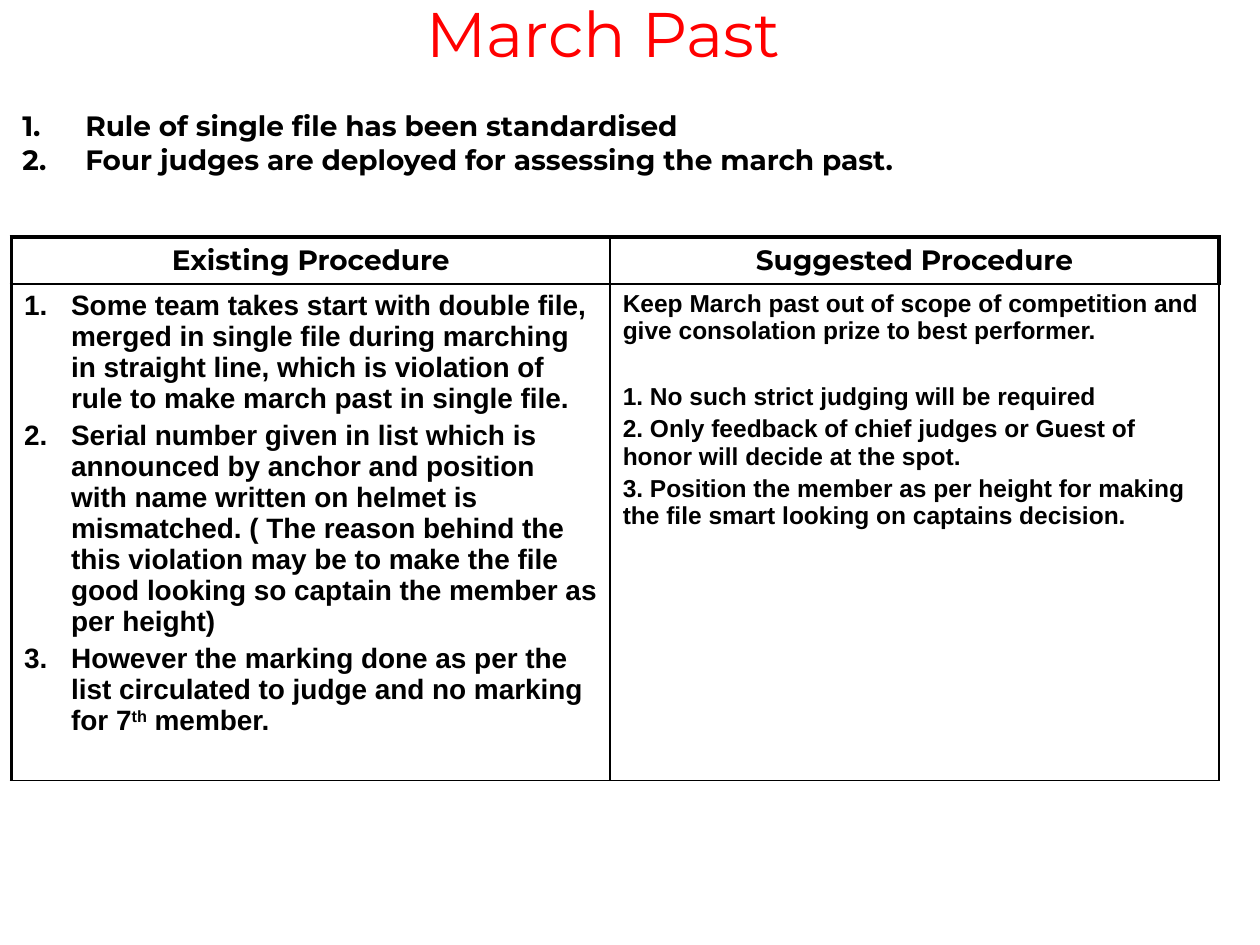
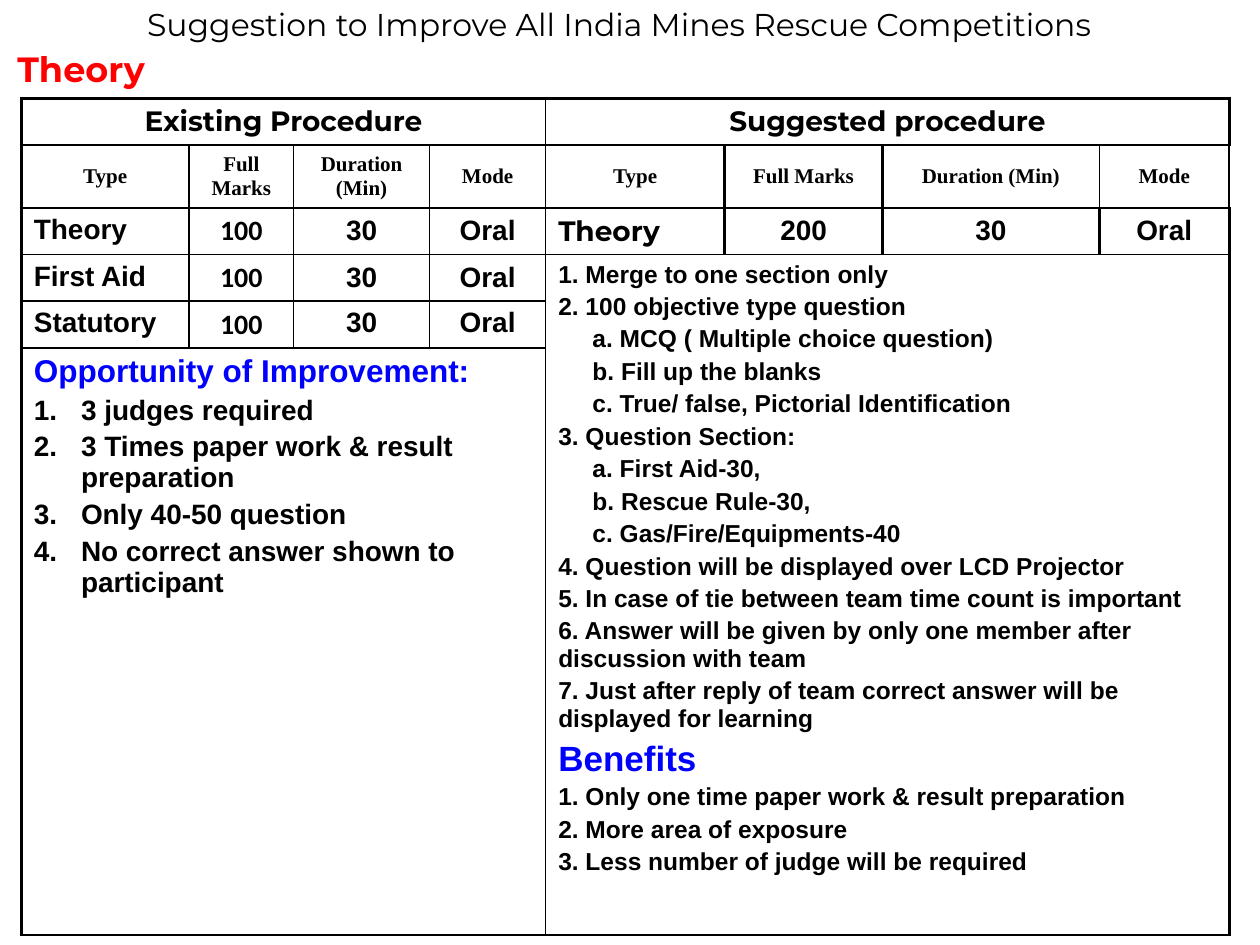
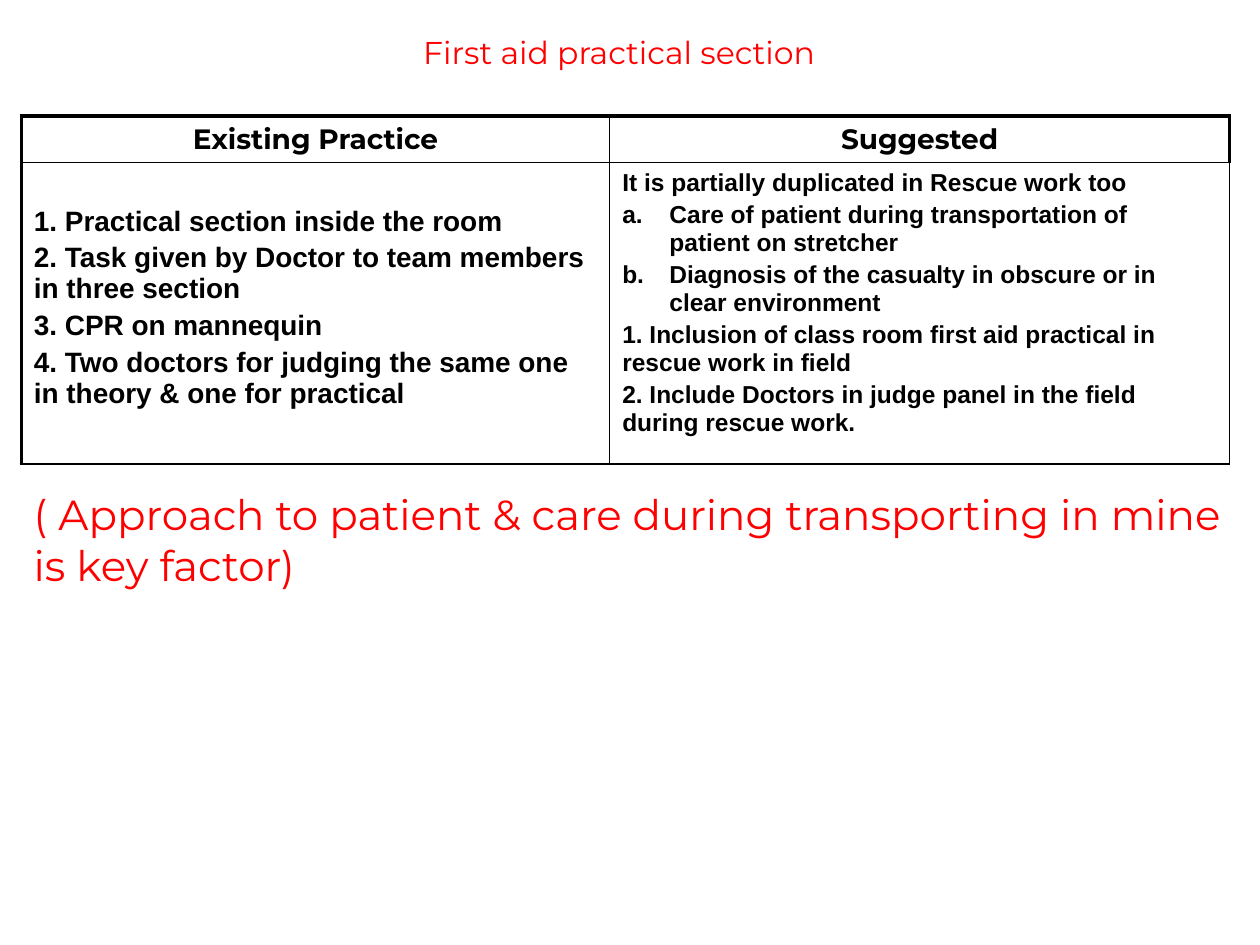
from lxml.etree import SubElement
from pptx import Presentation
from pptx.dml.color import RGBColor
from pptx.enum.text import MSO_ANCHOR, PP_ALIGN
from pptx.oxml.ns import qn
from pptx.util import Cm, Pt

BLACK = RGBColor(0, 0, 0)
RED = RGBColor(255, 0, 0)
BLUE = RGBColor(0, 0, 255)
BRAND, PLAIN, SERIF, DIGIT = "Montserrat", "Arial", "Times New Roman", "Calibri"
LEFT, MID = PP_ALIGN.LEFT, PP_ALIGN.CENTER
TOP, HALF = MSO_ANCHOR.TOP, MSO_ANCHOR.MIDDLE
THIN, THICK = Pt(1), Pt(2.25)
LISTS = {"num": "arabicPeriod", "let": "alphaLcPeriod"}


def write(frame, lines, face, size, align=LEFT, tint=BLACK, bold=True, lead=0.2, hang=0.95):
    for i, line in enumerate(lines):
        text, mark = line if isinstance(line, tuple) else (line, None)
        para = frame.paragraphs[0] if i == 0 else frame.add_paragraph()
        para.alignment = align
        head = isinstance(mark, int)
        points = mark if head else size
        if i:
            para.space_before = Pt(21.5 if mark == "gap" else lead * points)
        props = para._p.get_or_add_pPr()
        if mark == "in":
            props.set("marL", str(Cm(0.69)))
        if mark in LISTS:
            props.set("marL", str(Cm(hang)))
            props.set("indent", str(-Cm(hang)))
            SubElement(props, qn("a:buAutoNum"), type=LISTS[mark])
        for k, part in enumerate(text.split("^")):
            run = para.add_run()
            run.text = part
            run.font.name = face
            run.font.size = Pt(points)
            run.font.bold = bold
            run.font.color.rgb = BLUE if head else tint
            if k % 2:
                run._r.get_or_add_rPr().set("baseline", "30000")


def edge(cell, sides):
    props = cell._tc.get_or_add_tcPr()
    for side in "LRTB":
        width = sides.get(side)
        line = SubElement(props, qn("a:ln" + side), w=str(width or 0))
        if width:
            fill = SubElement(line, qn("a:solidFill"))
            SubElement(fill, qn("a:srgbClr"), val=str(BLACK))
        else:
            SubElement(line, qn("a:noFill"))
    cell.fill.background()


deck = Presentation()
deck.slide_width, deck.slide_height = Cm(25.4), Cm(19.05)
march, quiz, aid = [deck.slides.add_slide(deck.slide_layouts[6]) for _ in range(3)]

HEAD = (BRAND, 16, MID, TOP)
LABEL = (SERIF, 12, MID, HALF)
BODY = (PLAIN, 16, LEFT, TOP)
SMALL = (PLAIN, 14, LEFT, TOP)
VALUE = (PLAIN, 16, MID, HALF)
MARK = (DIGIT, 16, MID, HALF)

drill = {
    (0, 0): (["Existing Procedure"], HEAD),
    (0, 1): (["Suggested Procedure"], HEAD),
    (1, 0): ([
        ("Some team takes start with double file, merged in single file during marching in straight line, "
         "which is violation of rule to make march past in single file.", "num"),
        ("Serial number given in list which is announced by anchor and position with name written on helmet "
         "is mismatched. ( The reason behind the this violation may be to make the file good looking so "
         "captain the member as per height)", "num"),
        ("However the marking done as per the list circulated to judge and no marking for 7^th^ member.", "num"),
    ], BODY),
    (1, 1): ([
        "Keep March past out of scope of competition and give consolation prize to best performer.",
        ("1. No such strict judging will be required", "gap"),
        "2. Only feedback of chief judges or Guest of honor will decide at the spot.",
        "3. Position the member as per height for making the file smart looking on captains decision.",
    ], SMALL),
}

marks = {
    (0, 0): (["Existing Procedure"], HEAD),
    (0, 4): (["Suggested procedure"], HEAD),
    (2, 4): (["Theory"], (BRAND, 16, LEFT, HALF)),
    (3, 4): ([
        "1. Merge to one section only",
        "2. 100 objective type question",
        ("a. MCQ ( Multiple choice question)", "in"),
        ("b. Fill up the blanks", "in"),
        ("c. True/ false, Pictorial Identification", "in"),
        "3. Question Section:",
        ("a. First Aid-30,", "in"),
        ("b. Rescue Rule-30,", "in"),
        ("c. Gas/Fire/Equipments-40", "in"),
        "4. Question will be displayed over LCD Projector",
        "5. In case of tie between team time count is important",
        "6. Answer will be given by only one member after discussion with team",
        "7. Just after reply of team correct answer will be displayed for learning",
        ("Benefits", 20),
        "1. Only one time paper work & result preparation",
        "2. More area of exposure",
        "3. Less number of judge will be required",
    ], SMALL),
    (5, 0): ([
        ("Opportunity of Improvement:", 18),
        ("3 judges required", "num"),
        ("3 Times paper work & result preparation", "num"),
        ("Only 40-50 question", "num"),
        ("No correct answer shown to participant", "num"),
    ], BODY),
}
for i, name in enumerate(["Type", "Full Marks", "Duration (Min)", "Mode"] * 2):
    marks[1, i] = ([name], LABEL)
for i, name in enumerate(["200", "30", "Oral"], 5):
    marks[2, i] = ([name], VALUE)
for row, name in enumerate(["Theory", "First Aid", "Statutory"], 2):
    marks[row, 0] = ([name], BODY)
    place = TOP if row == 4 else HALF
    marks[row, 1] = (["100"], MARK[:3] + (place,))
    marks[row, 2] = (["30"], VALUE[:3] + (place,))
    marks[row, 3] = (["Oral"], VALUE[:3] + (place,))

care = {
    (0, 0): (["Existing Practice"], HEAD),
    (0, 1): (["Suggested"], HEAD),
    (1, 0): ([
        "1. Practical section inside the room",
        "2. Task given by Doctor to team members in three section",
        "3. CPR on mannequin",
        "4. Two doctors for judging the same one in theory & one for practical",
    ], BODY),
    (1, 1): ([
        "It is partially duplicated in Rescue work too",
        ("Care of patient during transportation of patient on stretcher", "let"),
        ("Diagnosis of the casualty in obscure or in clear environment", "let"),
        "1. Inclusion of class room first aid practical in rescue work in field",
        "2. Include Doctors in judge panel in the field during rescue work.",
    ], SMALL),
}

joins = [(0, 0, 0, 3), (0, 4, 0, 7), (3, 4, 5, 7), (5, 0, 5, 3)]
heavy = {(0, 7), (1, 4), (1, 5), (2, 4), (2, 5), (2, 6), (2, 7), (3, 7), (4, 7), (5, 7)}
grids = [
    (march, 0.23, 4.78, [12.07, 12.27], [0.94, 10.01], drill, [], {(0, 1)}),
    (quiz, 0.43, 1.98, [3.38, 2.11, 2.74, 2.34, 3.61, 3.18, 4.37, 2.62],
     [0.94, 1.27, 0.94, 0.94, 0.94, 11.84], marks, joins, heavy),
    (aid, 0.43, 2.34, [11.86, 12.5], [0.94, 6.07], care, [], {(0, 1)}),
]
for page, x, y, cols, rows, cells, spans, bold in grids:
    table = page.shapes.add_table(
        len(rows), len(cols), Cm(x), Cm(y), Cm(sum(cols)), Cm(sum(rows))).table
    table.first_row = table.horz_banding = False
    for col, width in zip(table.columns, cols):
        col.width = Cm(width)
    for row, height in zip(table.rows, rows):
        row.height = Cm(height)
    for r, c, low, far in spans:
        table.cell(r, c).merge(table.cell(low, far))
    for (r, c), (lines, (face, size, align, place)) in cells.items():
        first = table.cell(r, c)
        first.vertical_anchor = place
        write(first.text_frame, lines, face, size, align)
        low, far = r + first.span_height - 1, c + first.span_width - 1
        sides = {
            "L": THICK if c == 0 or (r, c - 1) in bold else THIN,
            "R": THICK if (r, far) in bold else THIN,
            "T": THICK if r == 0 else THIN,
            "B": THIN,
        }
        for i in range(r, low + 1):
            for j in range(c, far + 1):
                outer = {"L": j == c, "R": j == far, "T": i == r, "B": i == low}
                start = (i, j) == (r, c)
                edge(table.cell(i, j), {s: w for s, w in sides.items() if start or outer[s]})
    if page is aid:
        table.cell(1, 0).margin_top = Cm(0.87)
        table.cell(1, 1).margin_right = Cm(0.5)

rules = [("Rule of single file has been standardised", "num"),
         ("Four judges are deployed for assessing the march past.", "num")]
motto = "( Approach to patient & care during transporting in mine is key factor)"
boxes = [
    (march, 0, -0.2, 24.33, 1.7, HALF, ["March Past"], 36, MID, RED, False),
    (march, 0.2, 1.07, 24.33, 3.61, HALF, rules, 16, LEFT, BLACK, True),
    (quiz, 0, 0, 24.97, 0.97, HALF,
     ["Suggestion to Improve All India Mines Rescue Competitions"], 18, MID, BLACK, False),
    (quiz, 0.1, 0.84, 3.38, 1.12, TOP, ["Theory"], 20, LEFT, RED, True),
    (aid, 0, 0.2, 24.97, 1.7, HALF, ["First aid practical section"], 18, MID, RED, False),
    (aid, 0.43, 9.73, 24.56, 2.31, TOP, [motto], 24, LEFT, RED, False),
]
for page, x, y, wide, high, place, lines, size, align, tint, bold in boxes:
    frame = page.shapes.add_textbox(Cm(x), Cm(y), Cm(wide), Cm(high)).text_frame
    frame.word_wrap = True
    frame.vertical_anchor = place
    write(frame, lines, BRAND, size, align, tint, bold, lead=0, hang=1.27)

deck.save("out.pptx")
